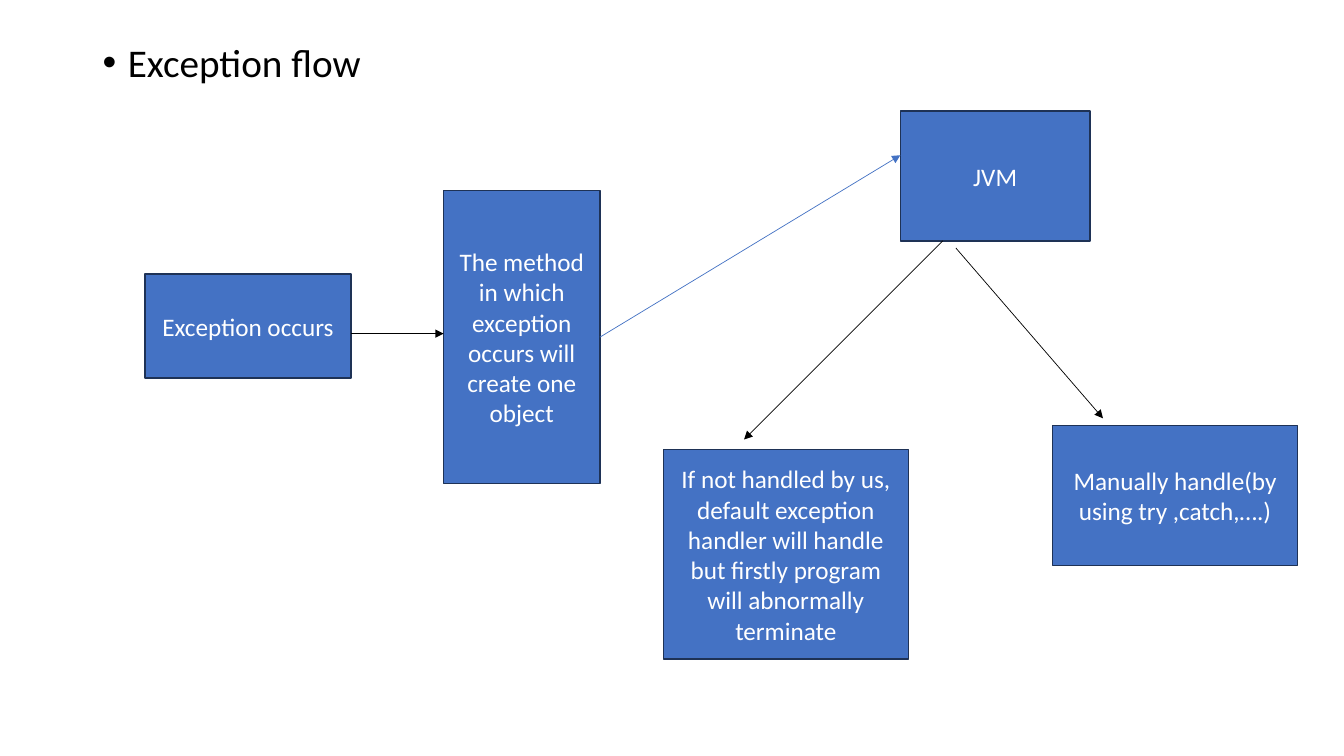
from lxml.etree import SubElement
from pptx import Presentation
from pptx.dml.color import RGBColor
from pptx.enum.shapes import MSO_CONNECTOR, MSO_SHAPE
from pptx.enum.text import MSO_ANCHOR, PP_ALIGN
from pptx.oxml.ns import qn
from pptx.util import Inches, Pt

BLUE = RGBColor(0x44, 0x72, 0xC4)
NAVY = RGBColor(0x1E, 0x32, 0x56)
BLACK = RGBColor(0, 0, 0)
WHITE = RGBColor(0xFF, 0xFF, 0xFF)
RIGHT_SIDE = 3


def write_text(frame, text, *, size, color, font="Calibri",
               align=PP_ALIGN.LEFT, anchor=MSO_ANCHOR.TOP):
    frame.word_wrap = True
    frame.vertical_anchor = anchor
    para = frame.paragraphs[0]
    para.alignment = align
    span = para.add_run()
    span.text = text
    span.font.name = font
    span.font.size = Pt(size)
    span.font.color.rgb = color
    return para


class FlowPage:
    """Holds the current slide and the style of its flow chart."""

    def __init__(self, page, fill=BLUE, outline=NAVY):
        self.page = page
        self.fill = fill
        self.outline = outline

    def bullet(self, text, left, top, width, height):
        box = self.page.shapes.add_textbox(
            Inches(left), Inches(top), Inches(width), Inches(height))
        para = write_text(box.text_frame, text, size=28, color=BLACK)
        para.line_spacing = 0.9
        para.space_before = Pt(10)
        properties = para._p.get_or_add_pPr()
        properties.set("marL", str(Inches(0.25)))
        properties.set("indent", str(-Inches(0.25)))
        SubElement(properties, qn("a:buFont"), typeface="Arial")
        SubElement(properties, qn("a:buChar"), char="•")

    def step(self, text, left, top, width, height):
        box = self.page.shapes.add_shape(
            MSO_SHAPE.RECTANGLE,
            Inches(left), Inches(top), Inches(width), Inches(height))
        box.shadow.inherit = False
        box.fill.solid()
        box.fill.fore_color.rgb = self.fill
        box.line.color.rgb = self.outline
        box.line.width = Pt(1)
        write_text(box.text_frame, text, size=18, color=WHITE,
                   align=PP_ALIGN.CENTER, anchor=MSO_ANCHOR.MIDDLE)
        return box

    def arrow(self, start, end, color=BLACK):
        arrow = self.page.shapes.add_connector(
            MSO_CONNECTOR.STRAIGHT, *map(Inches, start + end))
        arrow.line.color.rgb = color
        arrow.line.width = Pt(0.5)
        SubElement(arrow.line._get_or_add_ln(), qn("a:tailEnd"), type="triangle")
        SubElement(arrow._element.spPr, qn("a:effectLst"))
        return arrow


def main():
    deck = Presentation()
    deck.slide_width = Inches(13.33)
    deck.slide_height = Inches(7.5)
    flow = FlowPage(deck.slides.add_slide(deck.slide_layouts[6]))

    flow.bullet("Exception flow", 0.92, 0.38, 11.5, 6.38)
    flow.step("Exception occurs", 1.44, 2.72, 2.04, 1.03)
    method = flow.step("The method in which exception occurs will create one object",
                       4.4, 1.89, 1.55, 2.91)
    flow.step("JVM", 8.93, 1.1, 1.88, 1.29)
    flow.step("If not handled by us, default exception handler will handle "
              "but firstly program will abnormally terminate",
              6.58, 4.46, 2.43, 2.08)
    flow.step("Manually handle(by using try ,catch,….)", 10.44, 4.22, 2.43, 1.39)

    flow.arrow((3.48, 3.31), (4.4, 3.31))
    to_jvm = flow.arrow((5.95, 3.35), (8.93, 1.54), color=BLUE)
    to_jvm.begin_connect(method, RIGHT_SIDE)
    flow.arrow((9.35, 2.39), (7.38, 4.36))
    flow.arrow((9.48, 2.46), (10.94, 4.15))

    deck.save("out.pptx")


if __name__ == "__main__":
    main()
